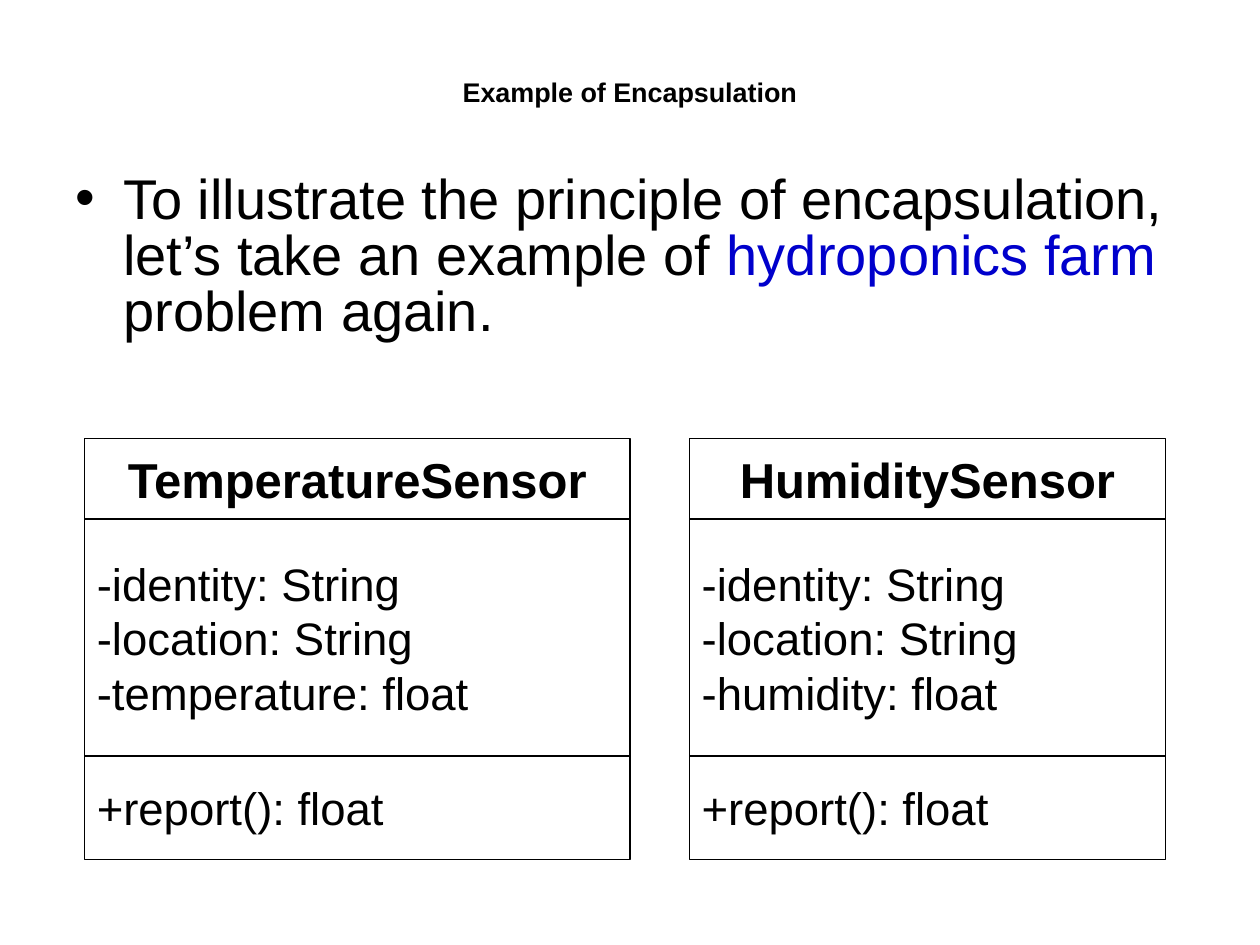
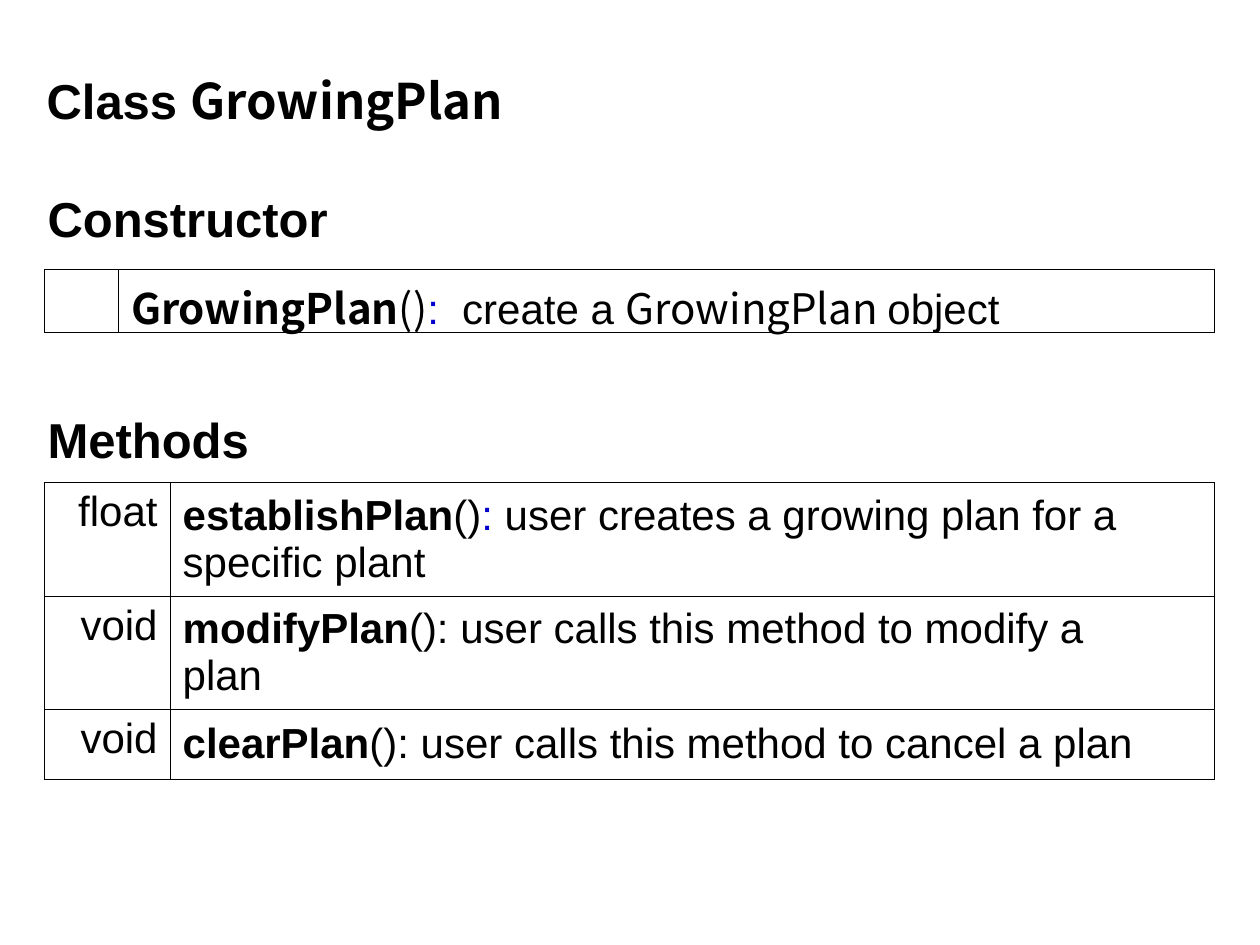
"""Build two slides on encapsulation: class diagrams and a class reference."""
import pptx
import pptx.dml.color
import pptx.enum.shapes
import pptx.enum.text
import pptx.oxml
import pptx.oxml.ns
import pptx.util
from pptx.util import Inches

BLACK = pptx.dml.color.RGBColor(0, 0, 0)
WHITE = pptx.dml.color.RGBColor(255, 255, 255)
BLUE = pptx.dml.color.RGBColor(0, 0, 0xCC)
SANS = "Arial"
CODE = "Noto Sans CJK SC"
LEFT = pptx.enum.text.PP_ALIGN.LEFT
CENTER = pptx.enum.text.PP_ALIGN.CENTER
RIGHT = pptx.enum.text.PP_ALIGN.RIGHT
TOP = pptx.enum.text.MSO_ANCHOR.TOP
MIDDLE = pptx.enum.text.MSO_ANCHOR.MIDDLE
NAMESPACE = pptx.oxml.ns.nsdecls("a")


def write(text_frame, lines, size, align=LEFT, anchor=TOP):
    """Fill a frame with lines of (text, bold, colour, font) runs."""
    text_frame.word_wrap = True
    text_frame.vertical_anchor = anchor
    for index, line in enumerate(lines):
        paragraph = text_frame.add_paragraph() if index else text_frame.paragraphs[0]
        paragraph.alignment = align
        for text, bold, color, font in line:
            run = paragraph.add_run()
            run.text = text
            run.font.size = pptx.util.Pt(size)
            run.font.bold = bold
            run.font.color.rgb = color
            run.font.name = font


def add_grid(slide, top, widths, heights, rows):
    """Add a bordered table; rows hold a return type and description lines."""
    table = slide.shapes.add_table(
        len(rows), 2, Inches(0.35), Inches(top), Inches(sum(widths)), Inches(sum(heights))
    ).table
    table.first_row = table.horz_banding = False
    for column, width in zip(table.columns, widths):
        column.width = Inches(width)
    for row, height, (return_type, description) in zip(table.rows, heights, rows):
        row.height = Inches(height)
        type_cell, description_cell = row.cells
        if return_type:
            write(type_cell.text_frame, [[(return_type, False, BLACK, SANS)]], 24, RIGHT)
        write(description_cell.text_frame, description, 24)
        description_cell.vertical_anchor = MIDDLE
        for cell in row.cells:
            properties = cell._tc.get_or_add_tcPr()
            for side in ("lnL", "lnR", "lnT", "lnB"):
                properties.append(pptx.oxml.parse_xml(
                    f'<a:{side} {NAMESPACE} w="4318"><a:solidFill>'
                    f'<a:srgbClr val="{BLACK}"/></a:solidFill></a:{side}>'))
            cell.fill.solid()
            cell.fill.fore_color.rgb = WHITE


presentation = pptx.Presentation()
presentation.slide_width = Inches(10)
presentation.slide_height = Inches(7.5)

titles = [
    ((0.5, 0.54, 9, 0.38), [("Example of Encapsulation", True, BLACK, SANS)], 15.4, CENTER, MIDDLE),
    ((0.27, 0.51, 5.51, 0.57),
     [("Class ", True, BLACK, SANS), ("GrowingPlan", True, BLACK, CODE)], 28, LEFT, TOP),
]
for place, runs, size, align, anchor in titles:
    slide = presentation.slides.add_slide(presentation.slide_layouts[5])
    title = slide.shapes.title
    title.left, title.top, title.width, title.height = map(Inches, place)
    title.text_frame.auto_size = pptx.enum.text.MSO_AUTO_SIZE.NONE
    write(title.text_frame, [runs], size, align, anchor)
example_slide, reference_slide = presentation.slides

introduction = example_slide.shapes.add_textbox(Inches(0.5), Inches(1.34), Inches(9), Inches(1.57))
write(introduction.text_frame, [[
    ("To illustrate the principle of encapsulation, let’s take an example of ", False, BLACK, SANS),
    ("hydroponics farm ", False, BLUE, SANS),
    ("problem again.", False, BLACK, SANS),
]], 32)
paragraph = introduction.text_frame.paragraphs[0]
properties = paragraph._p.get_or_add_pPr()
properties.set("marL", str(Inches(0.38)))
properties.set("indent", str(-Inches(0.38)))
properties.append(pptx.oxml.parse_xml(
    f'<a:buClr {NAMESPACE}><a:srgbClr val="{BLACK}"/></a:buClr>'))
properties.append(pptx.oxml.parse_xml(f'<a:buFont {NAMESPACE} typeface="{SANS}"/>'))
properties.append(pptx.oxml.parse_xml(f'<a:buChar {NAMESPACE} char="•"/>'))
paragraph.line_spacing = 0.83

classes = [("TemperatureSensor", "temperature", 0.67, 4.33), ("HumiditySensor", "humidity", 5.47, 3.78)]
for class_name, reading, left, width in classes:
    compartments = [
        (0.64, [class_name], 28, True, CENTER),
        (1.88, ["-identity: String", "-location: String", f"-{reading}: float"], 26, False, LEFT),
        (0.82, ["+report(): float"], 26, False, LEFT),
    ]
    top = 3.48
    for height, lines, size, bold, align in compartments:
        box = example_slide.shapes.add_shape(
            pptx.enum.shapes.MSO_SHAPE.RECTANGLE,
            Inches(left), Inches(top), Inches(width), Inches(height))
        box.shadow.inherit = False
        box.fill.solid()
        box.fill.fore_color.rgb = WHITE
        box.line.color.rgb = BLACK
        box.line.width = pptx.util.Pt(0.75)
        write(box.text_frame, [[(line, bold, BLACK, SANS)] for line in lines], size, align, MIDDLE)
        top += height

for heading, top, width in [("Constructor", 1.45, 2.6), ("Methods", 3.2, 1.9)]:
    box = reference_slide.shapes.add_textbox(Inches(0.28), Inches(top), Inches(width), Inches(0.57))
    write(box.text_frame, [[(heading, True, BLACK, SANS)]], 28)

add_grid(reference_slide, 2.14, [0.59, 8.7], [0.5], [
    ("", [[
        ("GrowingPlan", True, BLACK, CODE),
        ("()", False, BLACK, CODE),
        (":", False, BLUE, SANS),
        ("  create a ", False, BLACK, SANS),
        ("GrowingPlan ", False, BLACK, CODE),
        ("object", False, BLACK, SANS),
    ]]),
])
add_grid(reference_slide, 3.83, [1, 8.29], [0.9, 0.9, 0.55], [
    ("float", [
        [("establishPlan", True, BLACK, SANS), ("()", False, BLACK, SANS), (":", False, BLUE, SANS),
         (" user creates a growing plan for a", False, BLACK, SANS)],
        [("specific plant", False, BLACK, SANS)],
    ]),
    ("void", [
        [("modifyPlan", True, BLACK, SANS),
         ("(): user calls this method to modify a", False, BLACK, SANS)],
        [("plan", False, BLACK, SANS)],
    ]),
    ("void", [
        [("clearPlan", True, BLACK, SANS),
         ("(): user calls this method to cancel a plan", False, BLACK, SANS)],
    ]),
])

presentation.save("out.pptx")
